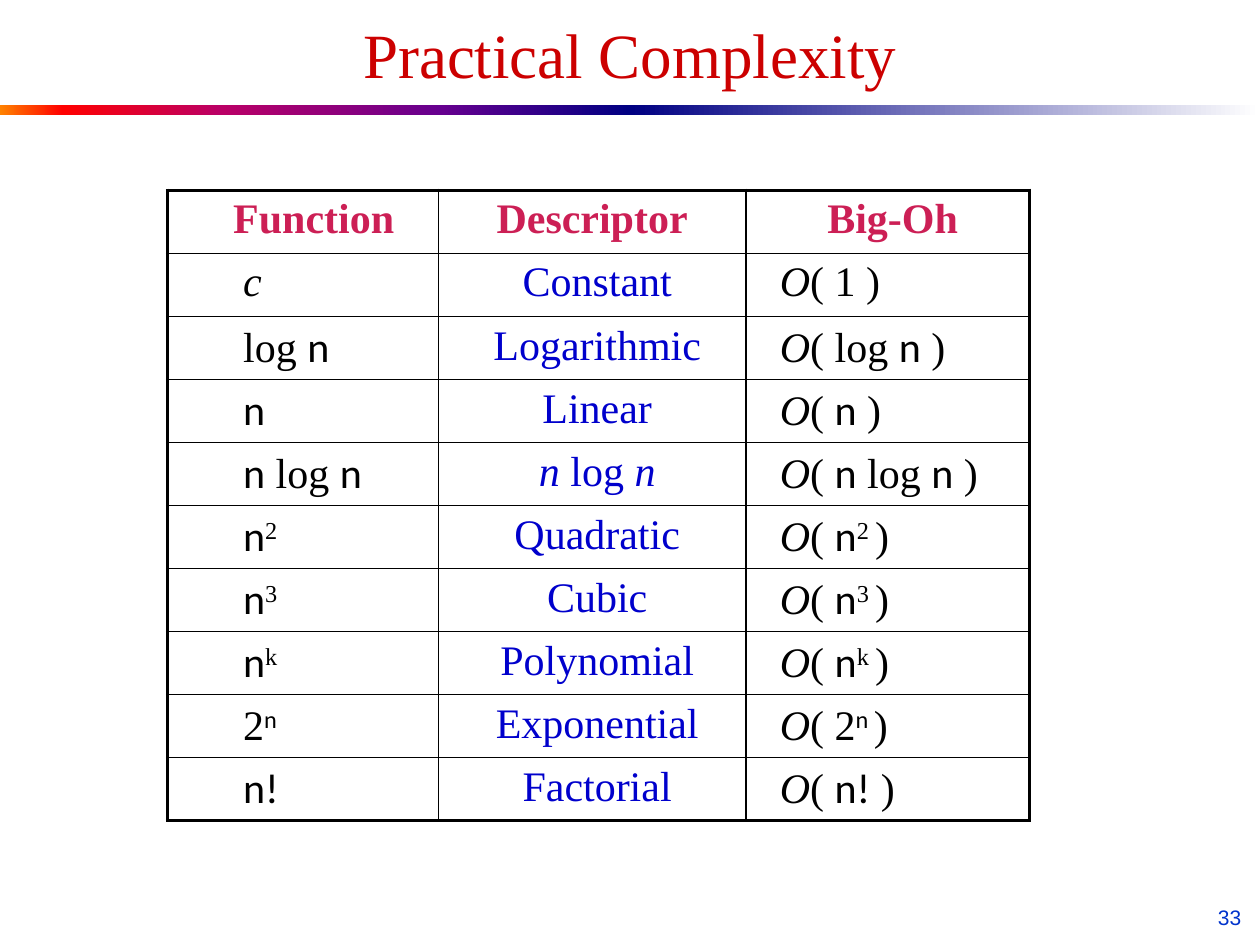
from dataclasses import dataclass

from lxml import etree
from pptx import Presentation
from pptx.dml.color import RGBColor
from pptx.enum.shapes import MSO_SHAPE
from pptx.enum.text import MSO_ANCHOR, PP_ALIGN
from pptx.oxml.ns import qn
from pptx.util import Inches, Pt

RECTANGLE = MSO_SHAPE.RECTANGLE
MIDDLE = MSO_ANCHOR.MIDDLE
LEFT, CENTER, RIGHT = PP_ALIGN.LEFT, PP_ALIGN.CENTER, PP_ALIGN.RIGHT
TITLE_ONLY = 5


@dataclass(frozen=True)
class Theme:
    serif: str = "Times New Roman"
    symbol: str = "Calibri"
    sans: str = "Arial"
    title: str = "CC0000"
    header: str = "CC1F55"
    descriptor: str = "0000CC"
    ink: str = "000000"
    number: str = "0033CC"
    title_size: int = 36
    table_size: int = 24
    number_size: int = 12
    thin: float = 1
    thick: float = 2.25
    warm_stops: tuple = ((0, "FF8200"), (10, "FF0000"), (35, "BA0066"),
                         (70, "66008F"), (100, "000082"))
    cool_stops: tuple = ((0, "000082"), (100, "FFFFFF"))


THEME = Theme()

# Run styles: "" plain, "i" italic, "s" symbol font, "^" superscript
N = ("n", "s")
ROWS = [
    ([("c", "i")], [("Constant", "")]),
    ([("log ", ""), N], [("Logarithmic", "")]),
    ([N], [("Linear", "")]),
    ([N, (" log ", ""), N], [("n", "i"), (" log ", ""), ("n", "i")]),
    ([N, ("2", "^")], [("Quadratic", "")]),
    ([N, ("3", "^")], [("Cubic", "")]),
    ([N, ("k", "^")], [("Polynomial", "")]),
    ([("2", ""), ("n", "s^")], [("Exponential", "")]),
    ([("n!", "s")], [("Factorial", "")]),
]
# Heading and its left indent, in inches
HEADINGS = [("Function", 0.17), ("Descriptor", 0), ("Big-Oh", 0.08)]
# Alignment, left indent in inches and colour of each body column
COLUMNS = [(LEFT, 0.5, THEME.ink), (CENTER, 0.08, THEME.descriptor),
           (LEFT, 0.17, THEME.ink)]
COLUMN_WIDTHS = [2.15, 2.44, 2.25]
ROW_HEIGHTS = [0.5, 0.47, 0.47, 0.5] + [0.42] * 5 + [0.43]


def add_run(paragraph, text, size, color, font, bold=False, style=""):
    run = paragraph.add_run()
    run.text = text
    run.font.size = Pt(size)
    run.font.name = font
    run.font.bold = bold
    run.font.italic = "i" in style
    run.font.color.rgb = RGBColor.from_string(color)
    if "^" in style:
        run.font._element.set("baseline", "30000")


def big_oh(function):
    """Wrap a function's runs in O( ... )."""
    *first, (text, style) = [("1", "")] if function == [("c", "i")] else function
    if "^" in style:
        ending = [(text + " ", style), (")", "")]
    else:
        ending = [(text, style), (" )", "")]
    return [("O", "i"), ("( ", "")] + first + ending


def add_gradient_bar(slide, box, stops):
    bar = slide.shapes.add_shape(RECTANGLE, *map(Inches, box))
    bar.shadow.inherit = False
    bar.line.fill.background()
    bar.fill.gradient()
    bar.fill.gradient_angle = 0
    stop_list = bar._element.spPr.find(qn("a:gradFill")).find(qn("a:gsLst"))
    for old in list(stop_list):
        stop_list.remove(old)
    for position, color in stops:
        stop = etree.SubElement(stop_list, qn("a:gs"), pos=str(position * 1000))
        etree.SubElement(stop, qn("a:srgbClr"), val=color)


def add_rule(slide, left, top, width, height):
    half = width / 2
    add_gradient_bar(slide, (left, top, half, height), THEME.warm_stops)
    add_gradient_bar(slide, (left + half, top, half, height), THEME.cool_stops)


def add_slide_number(slide, box):
    number = slide.shapes.add_textbox(*map(Inches, box)).text_frame
    number.word_wrap = True
    paragraph = number.paragraphs[0]
    paragraph.alignment = RIGHT
    add_run(paragraph, "33", THEME.number_size, THEME.number, THEME.sans)


def place_title(slide, box):
    title = slide.shapes.title
    title.left, title.top, title.width, title.height = map(Inches, box)
    title.text_frame.vertical_anchor = MIDDLE
    paragraph = title.text_frame.paragraphs[0]
    paragraph.alignment = CENTER
    add_run(paragraph, "Practical Complexity", THEME.title_size, THEME.title,
            THEME.serif)


def set_borders(cell, outer_sides):
    properties = cell._tc.get_or_add_tcPr()
    for side in "LRTB":
        width = THEME.thick if side in outer_sides else THEME.thin
        line = etree.SubElement(properties, qn(f"a:ln{side}"), w=str(Pt(width)))
        fill = etree.SubElement(line, qn("a:solidFill"))
        etree.SubElement(fill, qn("a:srgbClr"), val=THEME.ink)


def fill_cell(cell, runs, alignment, indent, color, bold=False):
    cell.fill.background()
    cell.margin_left = Inches(0.1 + indent)
    paragraph = cell.text_frame.paragraphs[0]
    paragraph.alignment = alignment
    for text, style in runs:
        font = THEME.symbol if "s" in style else THEME.serif
        add_run(paragraph, text, THEME.table_size, color, font, bold, style)


def add_complexity_table(slide, left, top):
    box = (left, top, sum(COLUMN_WIDTHS), sum(ROW_HEIGHTS))
    table = slide.shapes.add_table(len(ROW_HEIGHTS), len(COLUMN_WIDTHS),
                                   *map(Inches, box)).table
    table.first_row = table.horz_banding = False
    for column, width in zip(table.columns, COLUMN_WIDTHS):
        column.width = Inches(width)
    for row, height in zip(table.rows, ROW_HEIGHTS):
        row.height = Inches(height)

    # Thick frame, thin inner lines
    last_row, last_column = len(ROW_HEIGHTS) - 1, len(COLUMN_WIDTHS) - 1
    for r in range(last_row + 1):
        for c in range(last_column + 1):
            outer = {"L": c == 0, "R": c == last_column,
                     "T": r == 0, "B": r == last_row}
            set_borders(table.cell(r, c), [s for s in outer if outer[s]])

    # Heading row, then one row for each function
    for c, (heading, indent) in enumerate(HEADINGS):
        fill_cell(table.cell(0, c), [(heading, "")], CENTER, indent,
                  THEME.header, bold=True)
    for r, (function, descriptor) in enumerate(ROWS, start=1):
        contents = (function, descriptor, big_oh(function))
        for c, (runs, layout) in enumerate(zip(contents, COLUMNS)):
            fill_cell(table.cell(r, c), runs, *layout)


def main():
    presentation = Presentation()
    presentation.slide_width = Inches(10)
    presentation.slide_height = Inches(7.5)
    slide = presentation.slides.add_slide(presentation.slide_layouts[TITLE_ONLY])
    add_rule(slide, 0, 0.83, 10, 0.08)
    add_slide_number(slide, (7.62, 7.13, 2.33, 0.27))
    place_title(slide, (0.5, 0.17, 9, 0.5))
    add_complexity_table(slide, 1.33, 1.51)
    presentation.save("out.pptx")


if __name__ == "__main__":
    main()
